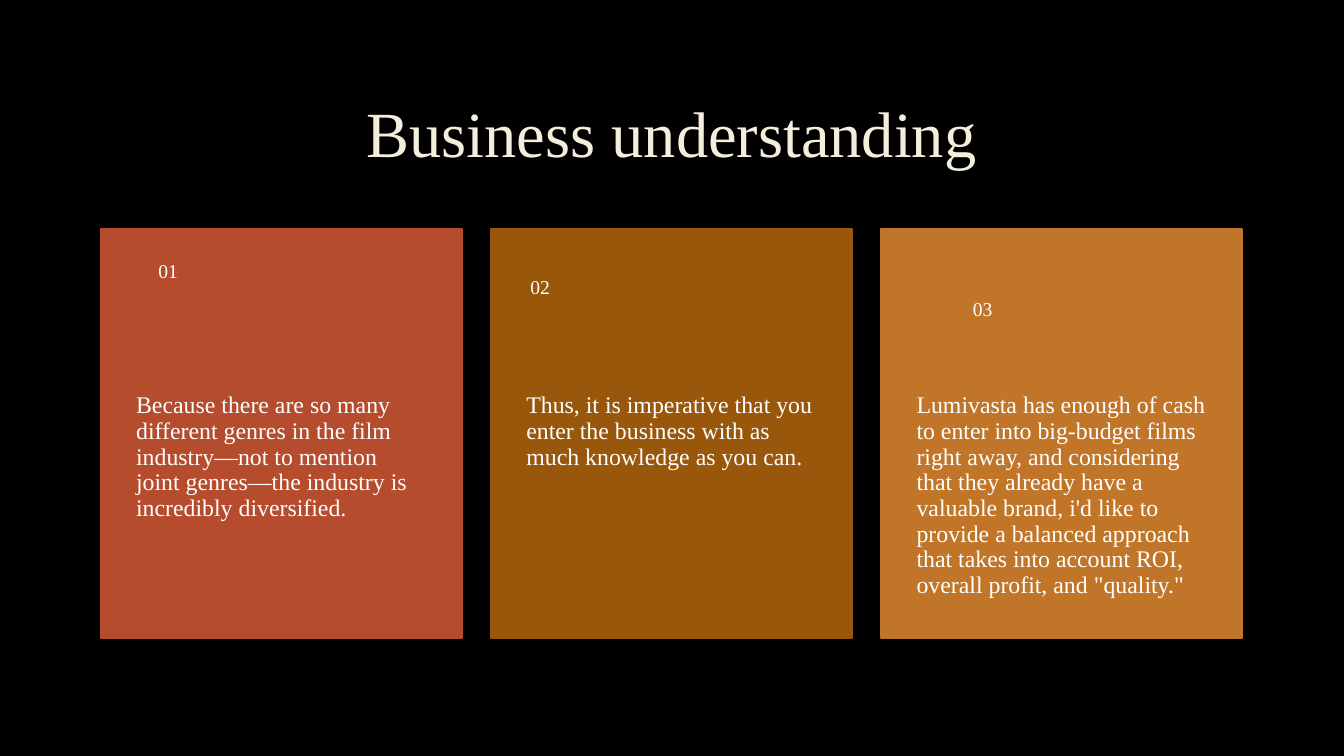
"""Build the "Business understanding" slide with three numbered cards."""
from pptx import Presentation
from pptx.dml.color import RGBColor
from pptx.enum.shapes import MSO_SHAPE
from pptx.enum.text import MSO_ANCHOR, PP_ALIGN
from pptx.util import Inches, Pt

BLACK = RGBColor(0x00, 0x00, 0x00)
CREAM = RGBColor(0xF4, 0xEE, 0xDC)
WHITE = RGBColor(0xFF, 0xFF, 0xFF)
RED = RGBColor(0xB5, 0x4C, 0x2D)
BROWN = RGBColor(0x99, 0x57, 0x0C)
ORANGE = RGBColor(0xC1, 0x75, 0x29)

CARD_LEFT, CARD_TOP, CARD_WIDTH, CARD_HEIGHT = 1, 2.27, 3.58, 4.06
CARD_STEP = 3.87
BODY_TOP, BODY_HEIGHT = 3.9, 2.44

TITLE_FRAME = {"word_wrap": True, "vertical_anchor": MSO_ANCHOR.MIDDLE}
BODY_FRAME = {
    "word_wrap": True, "vertical_anchor": MSO_ANCHOR.TOP,
    "margin_left": Inches(0.35), "margin_right": Inches(0.35),
    "margin_top": 0, "margin_bottom": Inches(0.36),
}
NUMBER_FRAME = BODY_FRAME | {
    "vertical_anchor": MSO_ANCHOR.MIDDLE,
    "margin_top": Inches(0.18), "margin_bottom": Inches(0.18),
}

CARDS = [
    (RED, "01", (1.22, 2.44, 1.59, 0.53),
     "Because there are so many different genres in the film industry—not to "
     "mention joint genres—the industry is incredibly diversified."),
    (BROWN, "02", (4.91, 2.34, 1.53, 1.04),
     "Thus, it is imperative that you enter the business with as much "
     "knowledge as you can."),
    (ORANGE, "03", (9.3, 2.67, 2.46, 0.82),
     "Lumivasta has enough of cash to enter into big-budget films right away, "
     "and considering that they already have a valuable brand, i'd like to "
     "provide a balanced approach that takes into account ROI, overall profit, "
     "and \"quality.\""),
]


def write_text(box, text, size, color, frame_format, alignment=PP_ALIGN.LEFT):
    frame = box.text_frame
    for name, value in frame_format.items():
        setattr(frame, name, value)
    para = frame.paragraphs[0]
    para.alignment = alignment
    para.line_spacing = 0.9
    span = para.add_run()
    span.text = text
    for name, value in {"name": "Times New Roman", "size": Pt(size)}.items():
        setattr(span.font, name, value)
    span.font.color.rgb = color


deck = Presentation()
deck.slide_width, deck.slide_height = Inches(13.33), Inches(7.5)
page = deck.slides.add_slide(deck.slide_layouts[5])
page.background.fill.solid()
page.background.fill.fore_color.rgb = BLACK

title = page.shapes.title
title_place = {"left": 1, "top": 0.67, "width": 11.32, "height": 1.38}
for name, value in title_place.items():
    setattr(title, name, Inches(value))
write_text(title, "Business understanding", 46, CREAM, TITLE_FRAME, PP_ALIGN.CENTER)

for index, (color, number, number_place, body) in enumerate(CARDS):
    left = Inches(CARD_LEFT + index * CARD_STEP)
    card = page.shapes.add_shape(
        MSO_SHAPE.RECTANGLE, left, Inches(CARD_TOP),
        Inches(CARD_WIDTH), Inches(CARD_HEIGHT))
    card.shadow.inherit = False
    for paint in (card.fill, card.line.fill):
        paint.solid()
        paint.fore_color.rgb = color
    card.line.width = Pt(1.25)

    body_box = page.shapes.add_textbox(
        left, Inches(BODY_TOP), Inches(CARD_WIDTH), Inches(BODY_HEIGHT))
    write_text(body_box, body, 17, WHITE, BODY_FRAME)

    number_box = page.shapes.add_textbox(*map(Inches, number_place))
    write_text(number_box, number, 14, WHITE, NUMBER_FRAME)

deck.save("out.pptx")
